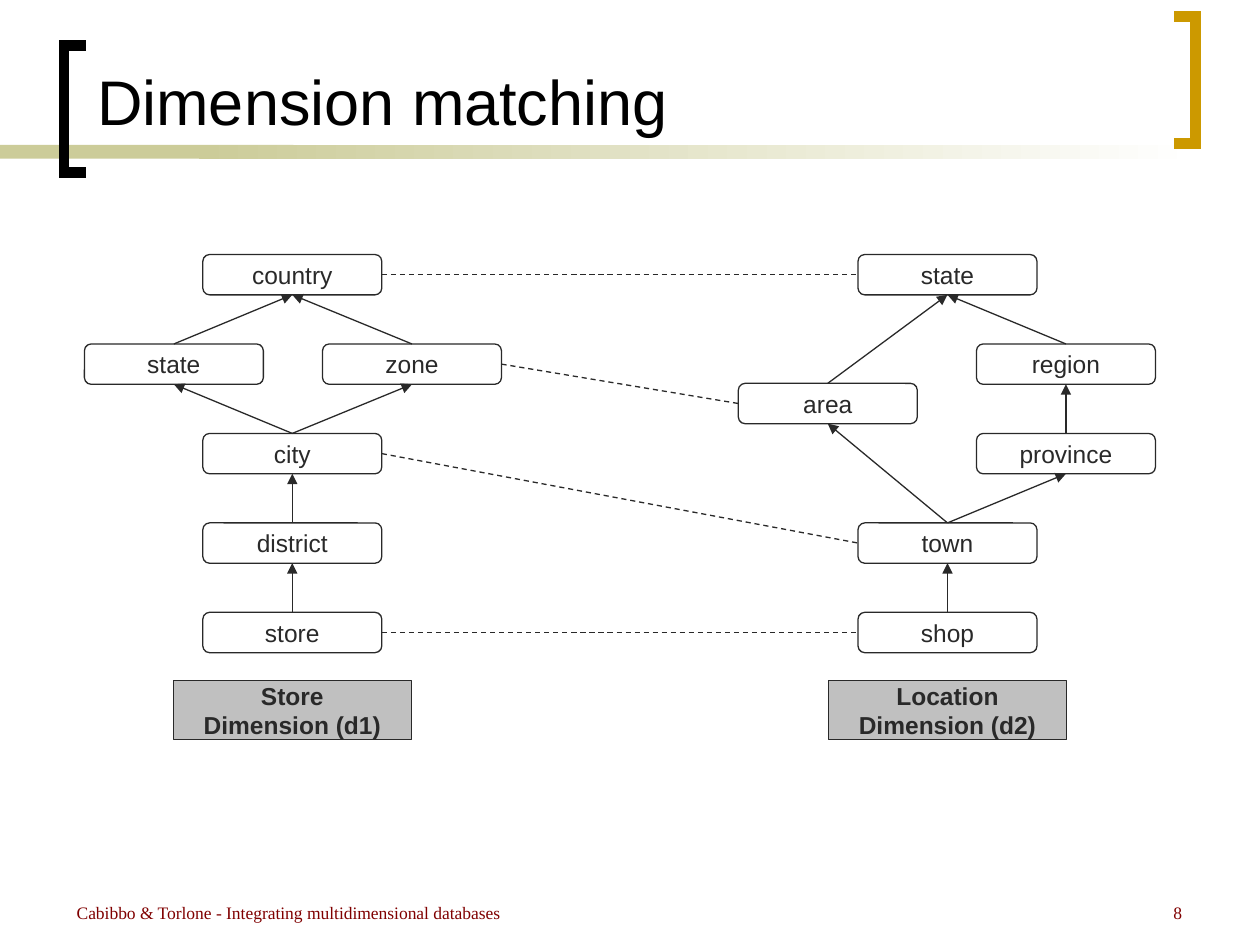
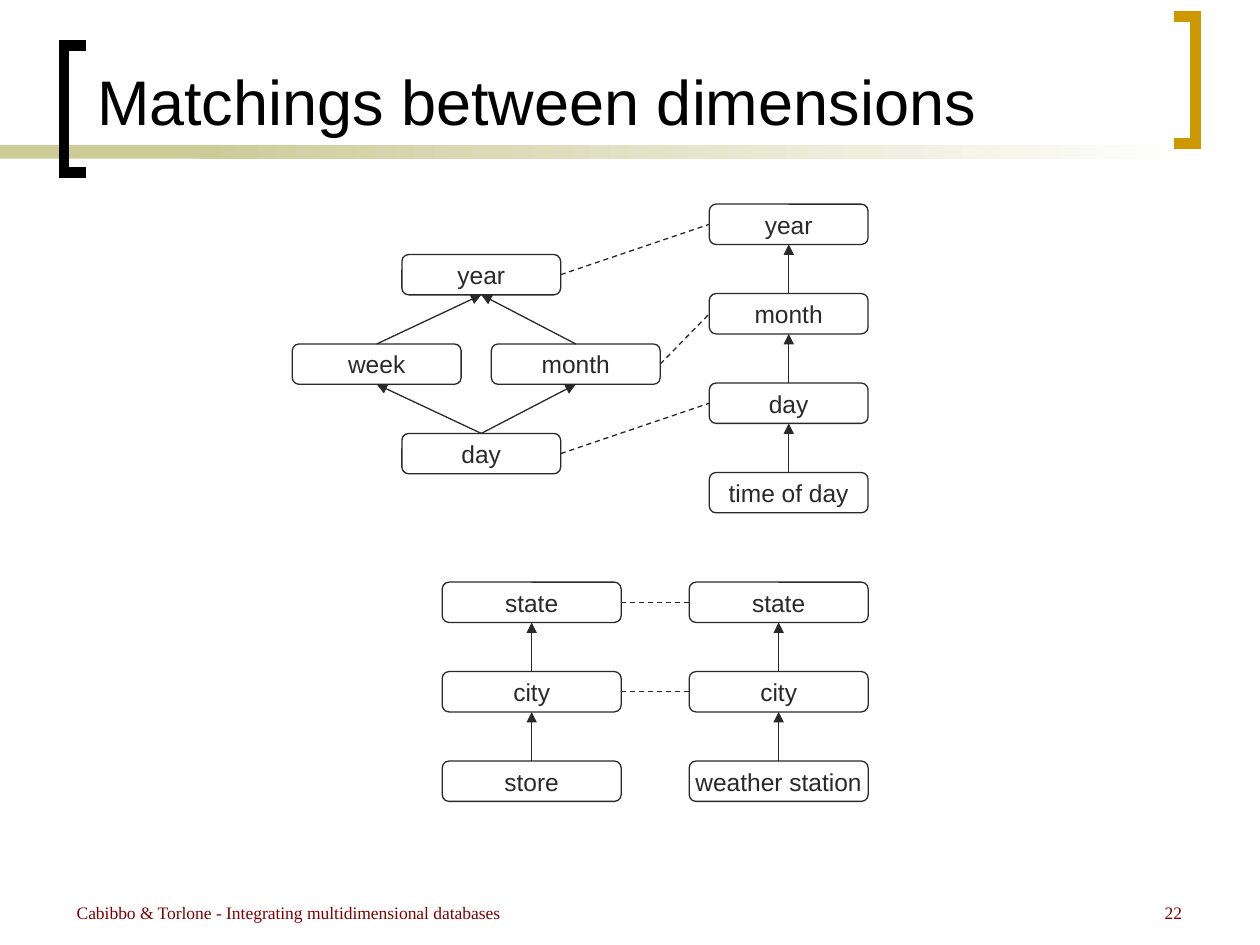
from lxml import etree
from pptx import Presentation
from pptx.dml.color import RGBColor
from pptx.enum import dml, shapes, text
from pptx.oxml.ns import qn
from pptx.util import Inches, Pt

BLACK = RGBColor(0x00, 0x00, 0x00)
WHITE = RGBColor(0xFF, 0xFF, 0xFF)
INK = RGBColor(0x29, 0x29, 0x29)
GREY = RGBColor(0xC0, 0xC0, 0xC0)
SAGE = RGBColor(0xCC, 0xCC, 0x99)
GOLD = RGBColor(0xCC, 0x99, 0x00)
MAROON = RGBColor(0x80, 0x00, 0x00)

FOOTER = "Cabibbo & Torlone - Integrating multidimensional databases"
LEVEL_HEIGHT, ROW_STEP = 0.32, 0.71
CAPTION_TOP, CAPTION_WIDTH, CAPTION_HEIGHT = 5.4, 1.89, 0.47
BRACKETS = [
    (BLACK, [(0.68, 1.37), (0.51, 1.37), (0.51, 0.36), (0.68, 0.36)]),
    (GOLD, [(9.32, 0.13), (9.49, 0.13), (9.49, 1.14), (9.32, 1.14)]),
]

# levels: name -> (centre, row, width); rollups: (child, parent)
STORE = dict(
    top=2.02,
    levels={
        "country": (2.32, 0, 1.42), "state": (1.38, 1, 1.42),
        "zone": (3.27, 1, 1.42), "city": (2.32, 2, 1.42),
        "district": (2.32, 3, 1.42), "store": (2.32, 4, 1.42),
    },
    rollups=[("store", "district"), ("district", "city"), ("city", "state"),
             ("city", "zone"), ("state", "country"), ("zone", "country")],
    caption=["Store", "Dimension (d1)"], caption_centre=2.32,
)
LOCATION = dict(
    top=2.02,
    levels={
        "state": (7.52, 0, 1.42), "region": (8.46, 1, 1.42),
        "area": (6.57, 1.44, 1.42), "province": (8.46, 2, 1.42),
        "town": (7.52, 3, 1.42), "shop": (7.52, 4, 1.42),
    },
    rollups=[("shop", "town"), ("town", "area"), ("town", "province"),
             ("province", "region"), ("area", "state"), ("region", "state")],
    caption=["Location", "Dimension (d2)"], caption_centre=7.52,
)
CALENDAR = dict(
    top=2.02,
    levels={
        "year": (3.82, 0, 1.26), "week": (2.99, 1, 1.34),
        "month": (4.57, 1, 1.34), "day": (3.82, 2, 1.26),
    },
    rollups=[("day", "week"), ("day", "month"),
             ("week", "year"), ("month", "year")],
)


def chain(names, centre, top, width):
    """Describe a dimension whose levels form one column, coarsest first."""
    return dict(
        top=top,
        levels={name: (centre, row, width) for row, name in enumerate(names)},
        rollups=list(zip(names[1:], names)),
    )


TIME = chain(["year", "month", "day", "time of day"], 6.26, 1.62, 1.26)
SHOPS = chain(["state", "city", "store"], 4.22, 4.62, 1.42)
WEATHER = chain(["state", "city", "weather station"], 6.18, 4.62, 1.42)

SLIDES = [
    dict(title="Dimension matching", number=8, matchings=[
        (STORE, LOCATION, [("country", "state"), ("zone", "area"),
                           ("city", "town"), ("store", "shop")]),
    ]),
    dict(title="Matchings between dimensions", number=22, matchings=[
        (CALENDAR, TIME, [("year", "year"), ("month", "month"), ("day", "day")]),
        (SHOPS, WEATHER, [("state", "state"), ("city", "city")]),
    ]),
]


def write(frame, lines, size=14, font="Arial", color=INK, bold=False,
          align=text.PP_ALIGN.CENTER, anchor=text.MSO_ANCHOR.MIDDLE,
          wrap=False, margins=(0.1, 0)):
    frame.word_wrap = wrap
    frame.auto_size = text.MSO_AUTO_SIZE.NONE
    frame.vertical_anchor = anchor
    frame.margin_left = frame.margin_right = Inches(margins[0])
    frame.margin_top = frame.margin_bottom = Inches(margins[1])
    for index, line in enumerate(lines):
        para = frame.add_paragraph() if index else frame.paragraphs[0]
        para.alignment = align
        span = para.add_run()
        span.text = line
        span.font.size, span.font.name, span.font.bold = Pt(size), font, bold
        span.font.color.rgb = color


def add_box(page, kind, left, top, width, height, fill=None, line=None):
    box = page.shapes.add_shape(
        kind, Inches(left), Inches(top), Inches(width), Inches(height))
    box.shadow.inherit = False
    if fill is None:
        box.fill.background()
    else:
        box.fill.solid()
        box.fill.fore_color.rgb = fill
    if line is None:
        box.line.fill.background()
    else:
        box.line.color.rgb = line
        box.line.width = Pt(0.75)
    return box


def connect(page, start, start_side, end, end_side, dashed=False):
    """Join two boxes with a dashed matching line or a roll-up arrow."""
    link = page.shapes.add_connector(shapes.MSO_CONNECTOR.STRAIGHT, 0, 0, 0, 0)
    link.begin_connect(start, start_side)
    link.end_connect(end, end_side)
    link.line.color.rgb = INK
    link.line.width = Pt(0.75)
    if dashed:
        link.line.dash_style = dml.MSO_LINE.DASH
    else:
        etree.SubElement(link.line._get_or_add_ln(), qn("a:tailEnd"), type="triangle")
    etree.SubElement(link._element.spPr, qn("a:effectLst"))


def add_bracket(page, color, points):
    corners = [(Inches(x), Inches(y)) for x, y in points]
    builder = page.shapes.build_freeform(*corners[0])
    builder.add_line_segments(corners[1:], close=False)
    bracket = builder.convert_to_shape()
    bracket.shadow.inherit = False
    bracket.fill.background()
    bracket.line.color.rgb = color
    bracket.line.width = Pt(6)
    etree.SubElement(bracket.line._get_or_add_ln(), qn("a:miter"), lim="800000")


def add_footer(page, line, left, width, align):
    box = page.shapes.add_textbox(
        Inches(left), Inches(7.11), Inches(width), Inches(0.26))
    write(box.text_frame, [line], size=10, font="Times New Roman", color=MAROON,
          align=align, anchor=text.MSO_ANCHOR.TOP, wrap=True, margins=(0.1, 0.05))


def add_page(deck, title, number):
    page = deck.slides.add_slide(deck.slide_layouts[5])
    rectangle = shapes.MSO_SHAPE.RECTANGLE
    add_box(page, rectangle, 0, 1.15, 2.33, 0.11, fill=SAGE)
    fade = add_box(page, rectangle, 1.58, 1.15, 7.92, 0.11)
    fade.fill.gradient()
    fade.fill.gradient_angle = 0
    for stop, color in zip(fade.fill.gradient_stops, (SAGE, WHITE)):
        stop.color.rgb = color
    for color, points in BRACKETS:
        add_bracket(page, color, points)

    heading = page.shapes.title
    heading.left, heading.top = Inches(0.67), Inches(0.35)
    heading.width, heading.height = Inches(8.66), Inches(0.8)
    write(heading.text_frame, [title], size=36, color=BLACK,
          align=text.PP_ALIGN.LEFT, anchor=text.MSO_ANCHOR.BOTTOM,
          wrap=True, margins=(0.1, 0.05))
    add_footer(page, FOOTER, 0.51, 6.69, text.PP_ALIGN.LEFT)
    add_footer(page, str(number), 7.4, 2.08, text.PP_ALIGN.RIGHT)
    return page


def add_dimension(page, dimension):
    """Draw the levels, roll-up arrows and caption; return boxes by level."""
    boxes = {}
    for name, (centre, row, width) in dimension["levels"].items():
        box = add_box(page, shapes.MSO_SHAPE.ROUNDED_RECTANGLE, centre - width / 2,
                      dimension["top"] + row * ROW_STEP, width, LEVEL_HEIGHT, line=INK)
        write(box.text_frame, [name])
        boxes[name] = box
    for child, parent in dimension["rollups"]:
        connect(page, boxes[child], 0, boxes[parent], 2)
    if "caption" in dimension:
        left = dimension["caption_centre"] - CAPTION_WIDTH / 2
        caption = add_box(page, shapes.MSO_SHAPE.RECTANGLE, left, CAPTION_TOP,
                          CAPTION_WIDTH, CAPTION_HEIGHT, fill=GREY, line=INK)
        write(caption.text_frame, dimension["caption"], bold=True)
    return boxes


def main():
    deck = Presentation()
    deck.slide_width, deck.slide_height = Inches(10), Inches(7.5)
    for content in SLIDES:
        page = add_page(deck, content["title"], content["number"])
        for left, right, pairs in content["matchings"]:
            left_boxes = add_dimension(page, left)
            right_boxes = add_dimension(page, right)
            for left_level, right_level in pairs:
                connect(page, left_boxes[left_level], 3,
                        right_boxes[right_level], 1, dashed=True)
    deck.save("out.pptx")


if __name__ == "__main__":
    main()
